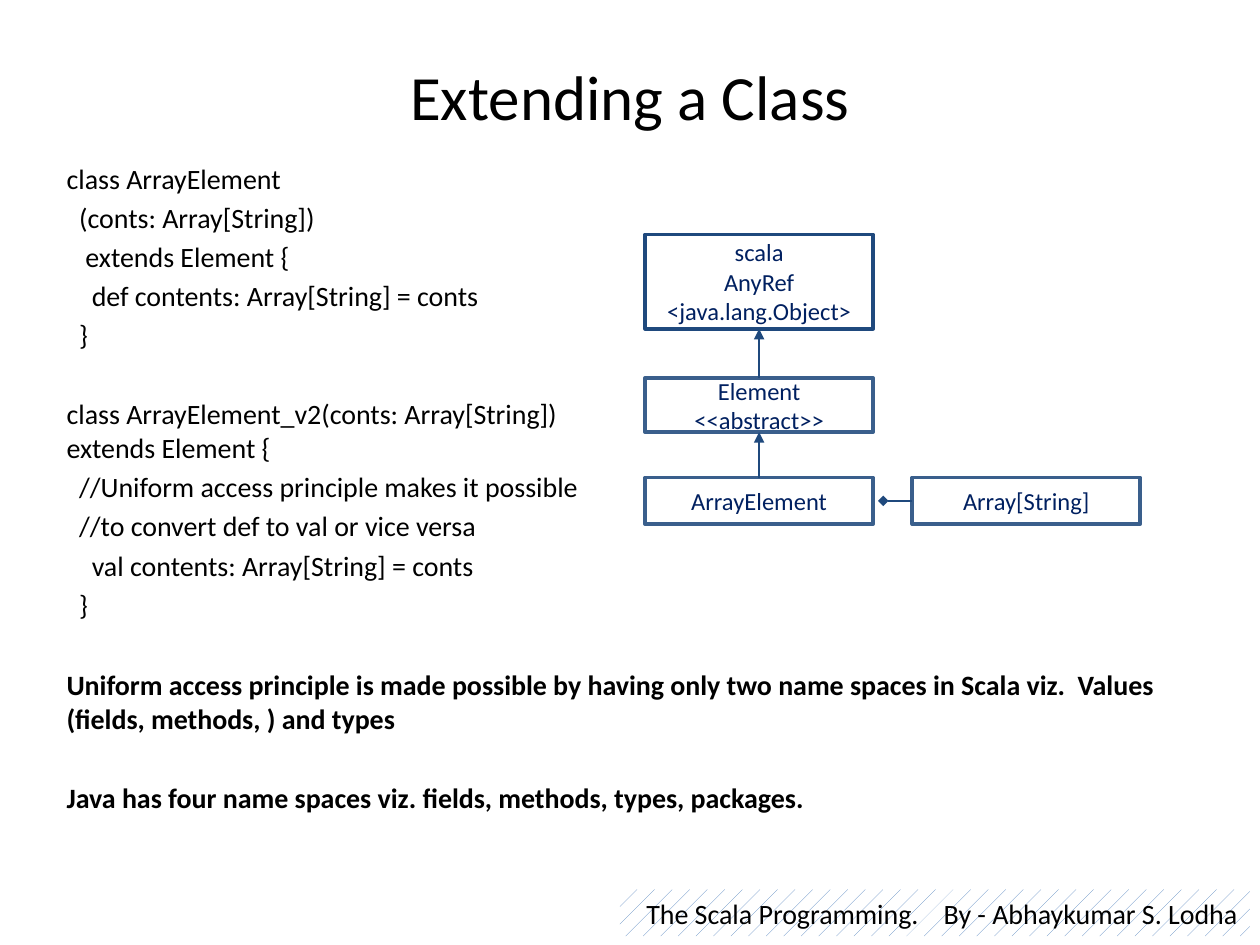
"""Build the "Extending a Class" slide with its code listing and class diagram."""
from lxml.etree import SubElement
from pptx import Presentation
from pptx.dml.color import RGBColor
from pptx.enum.dml import MSO_PATTERN
from pptx.enum.shapes import MSO_CONNECTOR, MSO_SHAPE
from pptx.enum.text import MSO_ANCHOR as ANCHOR, PP_ALIGN as ALIGN
from pptx.oxml.ns import qn
from pptx.util import Inches, Pt

COLORS = {"text": "000000", "paper": "FFFFFF", "hatch": "4F81BD",
          "navy": "002060", "line": "1F497D", "edge": "3A5F8C"}
TITLE = "Extending a Class"
FOOTER = "The Scala Programming.\tBy - Abhaykumar S. Lodha"

# Each line: indent in characters, text, whether a wide gap precedes it
CODE = [
    (0, "class ArrayElement", False),
    (2, "(conts: Array[String])", False),
    (3, "extends Element {", False),
    (4, "def contents: Array[String] = conts", False),
    (2, "}", False),
    (0, "class ArrayElement_v2(conts: Array[String]) extends Element {", True),
    (2, "//Uniform access principle makes it possible", False),
    (2, "//to convert def to val or vice versa", False),
    (4, "val contents: Array[String] = conts", False),
    (2, "}", False),
]
NOTES = [
    (0, "Uniform access principle is made possible by having only two name "
        "spaces in Scala viz.  Values (fields, methods, ) and types", False),
    (0, "Java has four name spaces viz. fields, methods, types, packages.", True),
]
BOXES = {
    "any_ref": (5.12, 1.86, 0.75, "line", ["scala", "AnyRef", "<java.lang.Object>"]),
    "element": (5.12, 3, 0.43, "edge", ["Element", "<<abstract>>"]),
    "array_element": (5.12, 3.79, 0.37, "edge", ["ArrayElement"]),
    "array": (7.24, 3.79, 0.37, "edge", ["Array[String]"]),
}
INHERITS = [("element", "any_ref"), ("array_element", "element")]
BOX_W, CHAR_W = 1.81, 0.05
DIAMOND_X = 7.01
GAP, WIDE_GAP = 3.2, 26


def rgb(name):
    return RGBColor.from_string(COLORS[name])


def style(p, size, color="text", bold=False, align=ALIGN.LEFT):
    p.alignment = align
    for r in p.runs:
        for key, value in {"name": "Calibri", "size": Pt(size), "bold": bold}.items():
            setattr(r.font, key, value)
        r.font.color.rgb = rgb(color)


def add_lines(s, place, lines, bold=False):
    tf = s.shapes.add_textbox(*map(Inches, place)).text_frame
    tf.word_wrap = True
    for i, (indent, text, wide) in enumerate(lines):
        p = tf.add_paragraph() if i else tf.paragraphs[0]
        p.text = text
        p.space_before = Pt(WIDE_GAP if wide else GAP)
        p._p.get_or_add_pPr().set("marL", str(Inches(indent * CHAR_W)))
        style(p, 16, bold=bold)


def add_rect(s, place):
    sp = s.shapes.add_shape(MSO_SHAPE.RECTANGLE, *map(Inches, place))
    sp.shadow.inherit = False
    return sp


def add_footer(s):
    sp = add_rect(s, (4.92, 7.06, 5, 0.37))
    sp.fill.patterned()
    sp.fill.pattern = MSO_PATTERN.PERCENT_5
    sp.fill.fore_color.rgb = rgb("hatch")
    sp.fill.back_color.rgb = rgb("paper")
    sp.line.fill.background()
    tf = sp.text_frame
    tf.margin_left, tf.word_wrap = Inches(0.21), False
    p = tf.paragraphs[0]
    p.text = FOOTER
    style(p, 16)
    tabs = SubElement(p._p.get_or_add_pPr(), qn("a:tabLst"))
    SubElement(tabs, qn("a:tab"), pos=str(Inches(2.36)), algn="l")


def add_box(s, x, y, h, edge, lines):
    sp = add_rect(s, (x, y, BOX_W, h))
    sp.fill.solid()
    sp.fill.fore_color.rgb = rgb("paper")
    sp.line.color.rgb = rgb(edge)
    sp.line.width = Pt(2)
    tf = sp.text_frame
    tf.word_wrap, tf.vertical_anchor = True, ANCHOR.MIDDLE
    for i, text in enumerate(lines):
        p = tf.add_paragraph() if i else tf.paragraphs[0]
        p.text = text
        style(p, 14, "navy", align=ALIGN.CENTER)
    return sp


def add_link(s, start, side, tail):
    x = start.left + (start.width // 2 if side == 0 else 0)
    y = start.top + (start.height // 2 if side == 1 else 0)
    c = s.shapes.add_connector(MSO_CONNECTOR.STRAIGHT, x, y, Inches(DIAMOND_X), y)
    c.begin_connect(start, side)
    c.line.color.rgb = rgb("line")
    c.line.width = Pt(1.5)
    SubElement(c.line._get_or_add_ln(), qn("a:tailEnd"), type=tail)
    SubElement(c._element.spPr, qn("a:effectLst"))
    return c


def main():
    prs = Presentation()
    prs.slide_width, prs.slide_height = Inches(10), Inches(7.5)
    s = prs.slides.add_slide(prs.slide_layouts[5])
    add_footer(s)

    title = s.shapes.title
    for key, value in zip(("left", "top", "width", "height"), (0.5, 0.13, 9, 1.25)):
        setattr(title, key, Inches(value))
    title.text_frame.text = TITLE
    title.text_frame.vertical_anchor = ANCHOR.MIDDLE
    style(title.text_frame.paragraphs[0], 36, align=ALIGN.CENTER)

    add_lines(s, (0.43, 1.23, 4.41, 3.94), CODE)
    boxes = {name: add_box(s, *box) for name, box in BOXES.items()}
    for child, parent in INHERITS:
        add_link(s, boxes[child], 0, "triangle").end_connect(boxes[parent], 2)
    add_link(s, boxes["array"], 1, "diamond")
    add_lines(s, (0.43, 5.25, 8.97, 1.57), NOTES, bold=True)
    prs.save("out.pptx")


if __name__ == "__main__":
    main()
